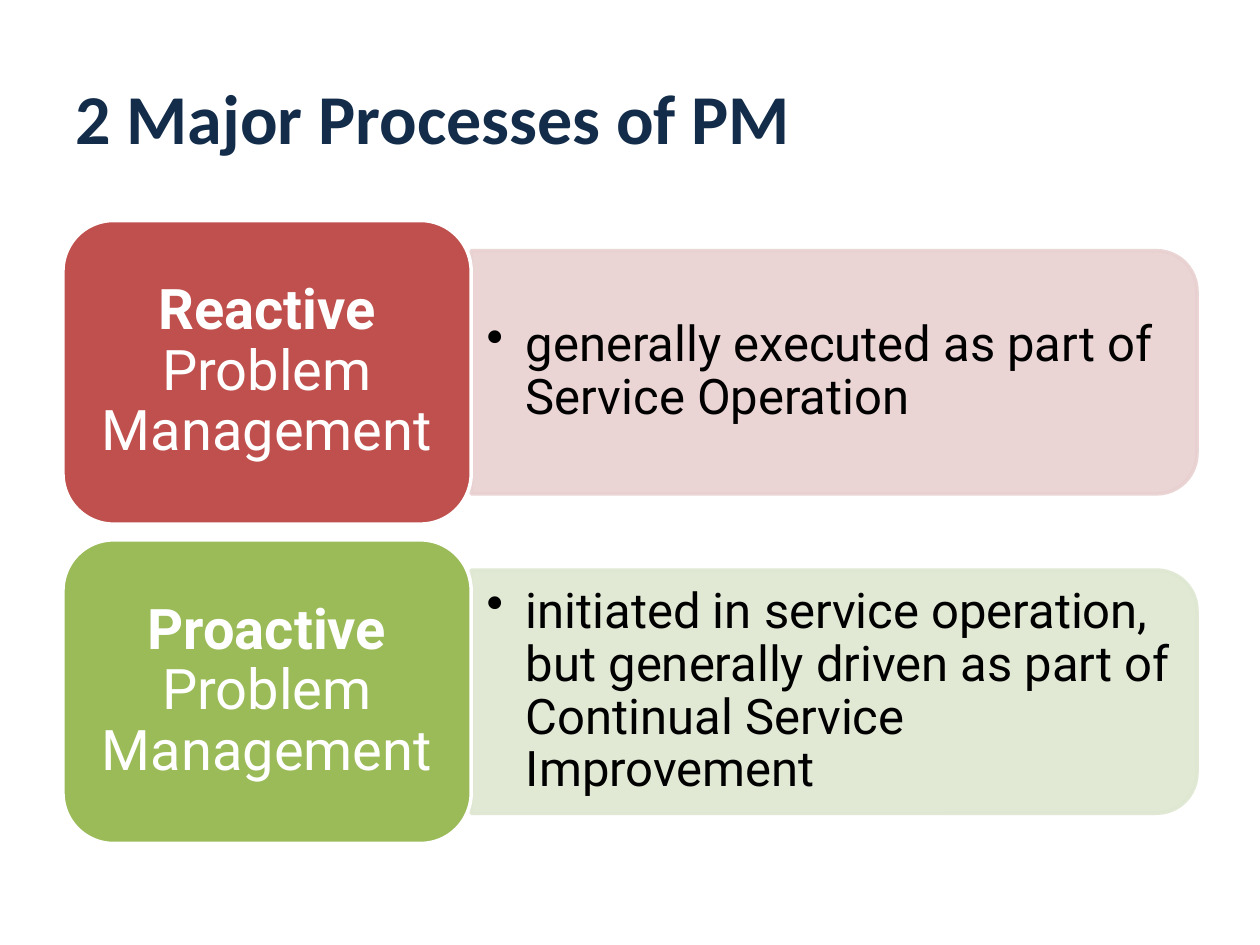
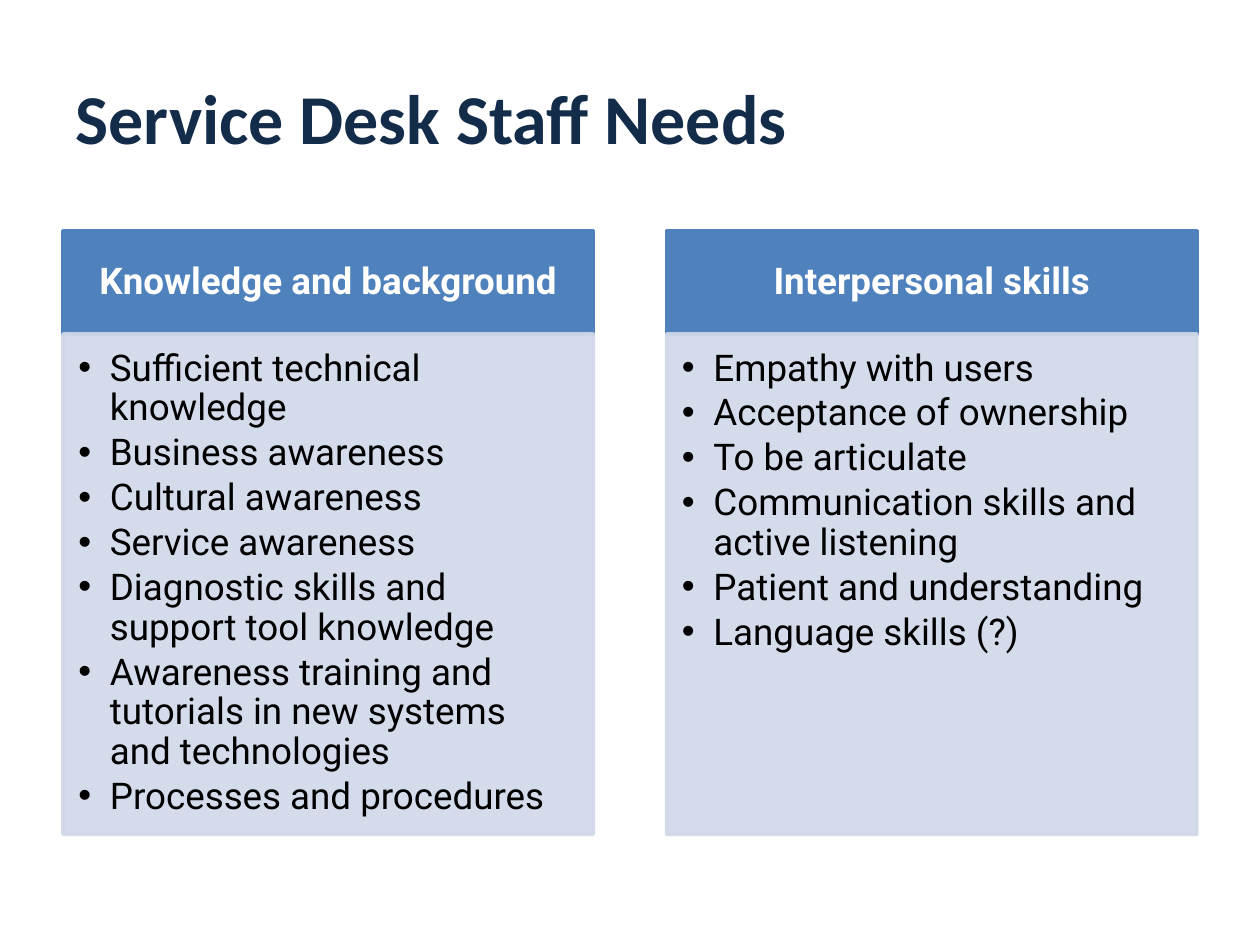
from pptx import Presentation
from pptx.dml.color import RGBColor
from pptx.enum.shapes import MSO_SHAPE as Form
from pptx.enum.text import MSO_ANCHOR as Anchor, MSO_AUTO_SIZE as Auto, PP_ALIGN as Align
from pptx.oxml.ns import qn
from pptx.oxml.xmlchemy import OxmlElement as Node
from pptx.util import Pt

NAVY, WHITE, BLACK = "132C4A", "FFFFFF", "000000"
BLUE, PALE = "4F81BD", "D0D8E8"
LEFT = 36

ROWS = [
    ("Reactive ", "C0504D", "E8D0D0", "generally executed as part of Service Operation"),
    ("Proactive ", "9BBB59", "DEE7D1",
     "initiated in service operation, but generally driven as part of "
     "Continual Service Improvement"),
]
NEEDS = [
    ("Knowledge and background", [
        "Sufficient technical knowledge",
        "Business awareness",
        "Cultural awareness",
        "Service awareness",
        "Diagnostic skills and support tool knowledge",
        "Awareness training and tutorials in new systems and technologies",
        "Processes and procedures",
    ]),
    ("Interpersonal skills", [
        "Empathy with users",
        "Acceptance of ownership",
        "To be articulate",
        "Communication skills and active listening",
        "Patient and understanding",
        "Language skills (?)",
    ]),
]


def rgb(code):
    return RGBColor.from_string(code)


def place(shape, box):
    shape.left, shape.top, shape.width, shape.height = map(Pt, box)


class Deck:
    """Holds the shared style and the current slide."""

    def __init__(self):
        self.prs = Presentation()
        self.prs.slide_width, self.prs.slide_height = Pt(720), Pt(540)

    def page(self, layout, title):
        layouts = self.prs.slide_layouts
        self.slide = self.prs.slides.add_slide(layouts.get_by_name(layout))
        head = self.slide.shapes.title
        place(head, (LEFT, 21.6, 648, 90))
        self.frame(head, (7.2, 3.6, 7.2, 3.6))
        self.line(head, 0, [(title, True)], 40, NAVY, "Calibri", Align.LEFT, 1)

    def frame(self, shape, pads, anchor=Anchor.MIDDLE):
        text = shape.text_frame
        text.word_wrap, text.auto_size = True, Auto.NONE
        text.vertical_anchor = anchor
        (text.margin_left, text.margin_top,
         text.margin_right, text.margin_bottom) = map(Pt, pads)

    def line(self, shape, index, runs, size, color, font="Roboto",
             align=Align.CENTER, pitch=0.9):
        """Fill one paragraph with (words, bold) runs."""
        text = shape.text_frame
        para = text.add_paragraph() if index else text.paragraphs[0]
        para.alignment, para.line_spacing = align, pitch
        para.space_before = Pt(0)
        for words, bold in runs:
            run = para.add_run()
            run.text = words
            face = run.font
            face.name, face.size, face.bold = font, Pt(size), bold
            face.color.rgb = rgb(color)
        return para

    def bullets(self, shape, items, size, indent):
        for i, item in enumerate(items):
            para = self.line(shape, i, [(item, False)], size, BLACK, align=Align.LEFT)
            para.space_after = Pt(round(size * 0.15))
            props = para._p.get_or_add_pPr()
            props.set("marL", str(Pt(indent)))
            props.set("indent", str(-Pt(indent)))
            mark = Node("a:buChar")
            mark.set("char", "•")
            props.append(mark)

    def paint(self, shape, fill, edge, sheer=False):
        shape.shadow.inherit = False
        shape.fill.solid()
        shape.fill.fore_color.rgb = rgb(fill)
        shape.line.color.rgb = rgb(edge)
        shape.line.width = Pt(2)
        if sheer:
            for color in shape.element.spPr.iter(qn("a:srgbClr")):
                alpha = Node("a:alpha")
                alpha.set("val", "90000")
                color.append(alpha)

    def shape(self, form, box, fill, edge, sheer=False):
        item = self.slide.shapes.add_shape(form, *map(Pt, box))
        self.paint(item, fill, edge, sheer)
        return item

    def panel(self, box, color):
        """Draw a box whose right corners are round, as a turned shape."""
        x, y, wide, high = box
        shift = (wide - high) / 2
        turned = (x + shift, y - shift, high, wide)
        self.shape(Form.ROUND_2_SAME_RECTANGLE, turned, color, color, True).rotation = 90

    def row(self, top, name, fill, tint, note):
        wide, high, side, thick = 233.3, 173.5, 414.7, 139
        x, y = LEFT + wide, top + (high - thick) / 2
        self.panel((x, y, side, thick), tint)
        box = self.slide.shapes.add_textbox(Pt(x), Pt(y + 7), Pt(side - 6.5), Pt(thick - 14))
        self.frame(box, (8.8, 4.4, 8.8, 4.4))
        self.bullets(box, [note], 28, 22.5)
        tile = self.shape(Form.ROUNDED_RECTANGLE, (LEFT, top, wide, high), fill, WHITE)
        self.frame(tile, (9.6, 4.8, 9.6, 4.8))
        self.line(tile, 0, [(name, True), ("Problem Management", False)], 32, WHITE)

    def column(self, left, head, body, title, items):
        top, wide, bar = 131.8, 303.1, 59
        place(head, (left, top, wide, bar))
        self.paint(head, BLUE, BLUE)
        self.frame(head, (11.8, 6.7, 11.8, 6.7))
        self.line(head, 0, [(title, True)], 21, WHITE)
        place(body, (left, top + bar, wide, 286))
        self.paint(body, PALE, PALE, True)
        self.frame(body, (8.8, 8.8, 11.8, 13.2), Anchor.TOP)
        self.bullets(body, items, 21, 18)


def main():
    deck = Deck()
    deck.page("Title Only", "2 Major Processes of PM")
    for i, row in enumerate(ROWS):
        deck.row(126 + i * 182.5, *row)

    deck.page("Comparison", "Service Desk Staff Needs")
    slots = list(deck.slide.placeholders)[1:]
    for i, need in enumerate(NEEDS):
        deck.column(LEFT + i * 344.9, *slots[2 * i:2 * i + 2], *need)
    deck.prs.save("out.pptx")


if __name__ == "__main__":
    main()
